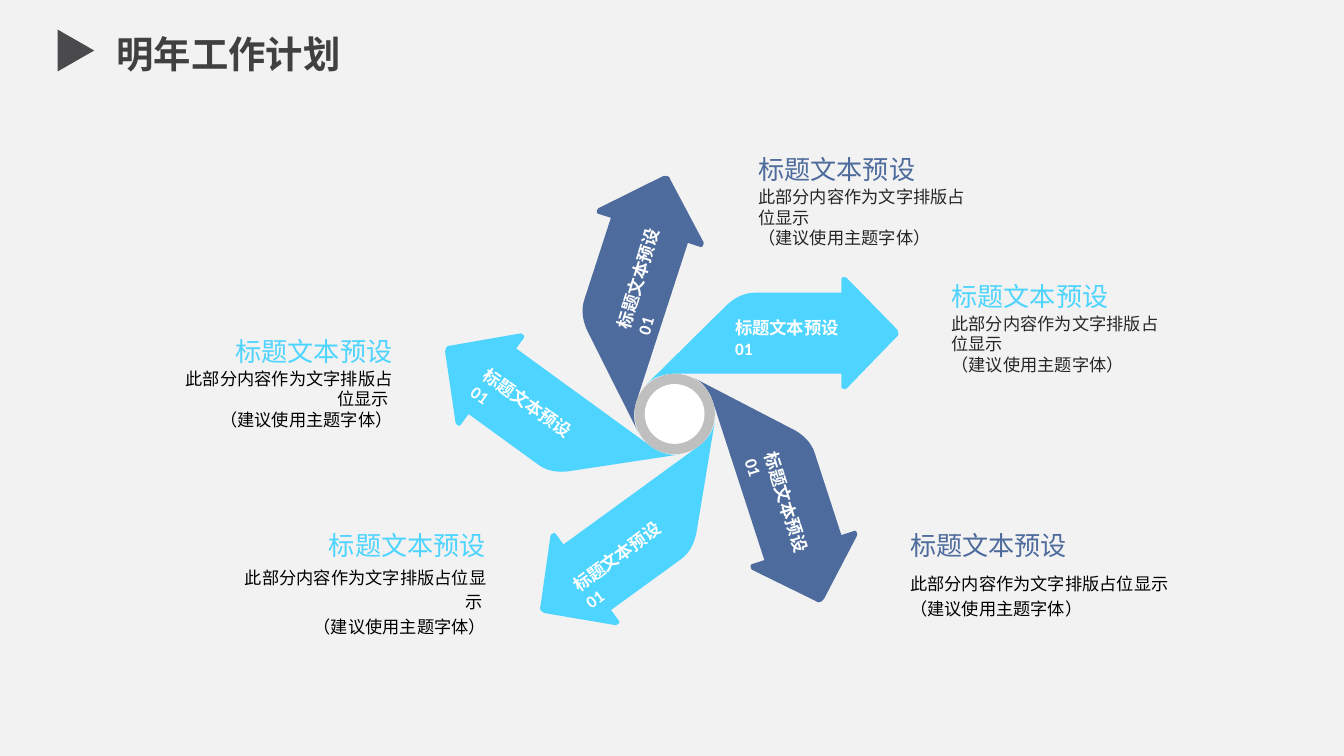
from collections import namedtuple
from dataclasses import dataclass
from math import cos, radians, sin

from pptx import Presentation
from pptx.dml.color import RGBColor
from pptx.enum.shapes import MSO_SHAPE
from pptx.enum.text import MSO_ANCHOR, PP_ALIGN
from pptx.util import Cm, Pt

Box = namedtuple("Box", "left top width height")
Blade = namedtuple("Blade", "hue x y tilt")
Note = namedtuple("Note", "box hue ink align pad space anchor")


@dataclass(frozen=True)
class Theme:
    font: str = "Calibri"
    back: str = "F2F2F2"
    mark: str = "4A4A4C"
    title: str = "404040"
    sky: str = "4DD4FF"
    navy: str = "4D6B9C"
    ring: str = "BFBFBF"
    white: str = "FFFFFF"
    dark: str = "262626"
    black: str = "000000"
    big: float = 20
    head: float = 14
    label: float = 9.3
    body: float = 9.2


THEME = Theme()
TITLE = "明年工作计划"
HEAD = "标题文本预设"
LABEL = "标题文本预设01"
BODY = "此部分内容作为文字排版占位显示 \v（建议使用主题字体）"

EDGE = [
    [(3.15, -2.29)],
    [(1.52, -2.29), (1.3, -2.29), (1.12, -2.18), (0.99, -2.06)],
    [(-0.53, -0.56), (-0.41, -0.69), (-0.2, -0.76), (0, -0.76)],
    [(3.15, -0.76)],
    [(3.15, -0.51), (3.15, -0.48), (3.2, -0.46), (3.25, -0.48)],
    [(4.19, -1.45), (4.24, -1.47), (4.24, -1.55), (4.19, -1.61)],
    [(3.25, -2.57), (3.2, -2.59), (3.15, -2.59), (3.15, -2.54)],
]

BLADES = [
    Blade(THEME.sky, 2.24, -1.66, 0),
    Blade(THEME.navy, -0.69, -2.68, 287.1),
    Blade(THEME.sky, -2.67, -0.17, 35.2),
    Blade(THEME.sky, -1.02, 2.6, 323.7),
    Blade(THEME.navy, 2.18, 1.77, 72.4),
]

LEFT, RIGHT = PP_ALIGN.LEFT, PP_ALIGN.RIGHT
TOP, MIDDLE = MSO_ANCHOR.TOP, MSO_ANCHOR.MIDDLE
NOTES = [
    Note(Box(13.34, 2.87, 5.99, 1.82), THEME.navy, THEME.dark, LEFT, (0.99, 0.99), None, TOP),
    Note(Box(2.34, 6.3, 6.07, 1.82), THEME.sky, THEME.black, RIGHT, (0.99, 0.99), None, TOP),
    Note(Box(16.99, 5.26, 5.99, 1.82), THEME.sky, THEME.dark, LEFT, (0.99, 0.99), None, TOP),
    Note(Box(4.11, 9.98, 6.07, 1.82), THEME.sky, THEME.black, RIGHT, (0.2, 0.99), 1.2, TOP),
    Note(Box(16.21, 9.98, 6.07, 1.82), THEME.navy, THEME.black, LEFT, (0.99, 0), 1.2, MIDDLE),
]


def place(box):
    return [Cm(v) for v in box]


def paint(shape, hue):
    shape.fill.solid()
    shape.fill.fore_color.rgb = RGBColor.from_string(hue)
    shape.line.fill.background()
    shape.shadow.inherit = False


def style(line, size, hue, bold=False):
    line.font.name = THEME.font
    line.font.size = Pt(size)
    line.font.bold = bold
    line.font.color.rgb = RGBColor.from_string(hue)


def inset(frame, left, right):
    frame.margin_left, frame.margin_right = Cm(left), Cm(right)
    frame.margin_top = frame.margin_bottom = 0


def trace(part):
    if len(part) == 1:
        return part
    (ax, ay), (bx, by), (cx, cy), (dx, dy) = part
    points = []
    for step in range(9):
        t = step / 8
        s = 1 - t
        w = s**3, 3 * s * s * t, 3 * s * t * t, t**3
        points.append((
            w[0] * ax + w[1] * bx + w[2] * cx + w[3] * dx,
            w[0] * ay + w[1] * by + w[2] * cy + w[3] * dy,
        ))
    return points


def add_disc(shapes, x, y, size, hue):
    box = Box(x - size / 2, y - size / 2, size, size)
    paint(shapes.add_shape(MSO_SHAPE.OVAL, *place(box)), hue)


def add_blade(shapes, x, y, turn, hue):
    c, s = cos(radians(turn)), sin(radians(turn))
    points = [
        (Cm(x + px * c - py * s), Cm(y + px * s + py * c))
        for part in EDGE for px, py in trace(part)
    ]
    pen = shapes.build_freeform(*points[0])
    pen.add_line_segments(points[1:], close=True)
    paint(pen.convert_to_shape(), hue)


def add_label(shapes, x, y, tilt):
    wide, high = 2.69, 0.58
    text = shapes.add_textbox(*place(Box(x - wide / 2, y - high / 2, wide, high)))
    text.rotation = tilt
    text.text_frame.word_wrap = False
    line = text.text_frame.paragraphs[0]
    line.text = LABEL
    style(line, THEME.label, THEME.white, True)


def add_wheel(slide, box):
    x = box.left + box.width * 0.506
    y = box.top + box.height * 0.533
    shapes = slide.shapes.add_group_shape().shapes
    for rank, blade in enumerate(BLADES):
        add_blade(shapes, x, y, -rank * 360 / len(BLADES), blade.hue)
    add_disc(shapes, x, y, 1.52, THEME.ring)
    add_disc(shapes, x, y, 1.13, THEME.white)
    for blade in BLADES:
        add_label(shapes, x + blade.x, y + blade.y, blade.tilt)


def add_note(slide, note):
    box, split = note.box, 0.65
    shapes = slide.shapes.add_group_shape().shapes
    rows = [
        (HEAD, THEME.head, note.hue, 0, split, False, MIDDLE, None),
        (BODY, THEME.body, note.ink, split, box.height - split, True, note.anchor, note.space),
    ]
    for words, size, hue, drop, high, wrap, anchor, space in rows:
        spot = Box(box.left, box.top + drop, box.width, high)
        frame = shapes.add_textbox(*place(spot)).text_frame
        frame.word_wrap = wrap
        frame.vertical_anchor = anchor
        inset(frame, *note.pad)
        line = frame.paragraphs[0]
        line.text = words
        line.alignment = note.align
        line.line_spacing = space
        style(line, size, hue)


def add_title(slide, box):
    mark = Box(box.left + 0.3, box.top + 0.2, 0.79, 0.69)
    arrow = slide.shapes.add_shape(MSO_SHAPE.ISOSCELES_TRIANGLE, *place(mark))
    arrow.rotation = 90
    paint(arrow, THEME.mark)
    title = slide.shapes.title
    title.left, title.top, title.width, title.height = place(box)
    frame = title.text_frame
    frame.word_wrap = False
    frame.vertical_anchor = MIDDLE
    inset(frame, 0, 0)
    line = frame.paragraphs[0]
    line.text = TITLE
    line.alignment = PP_ALIGN.CENTER
    style(line, THEME.big, THEME.title, True)


def main():
    deck = Presentation()
    deck.slide_width, deck.slide_height = Cm(25.4), Cm(14.28)
    slide = deck.slides.add_slide(deck.slide_layouts.get_by_name("Title Only"))
    slide.background.fill.solid()
    slide.background.fill.fore_color.rgb = RGBColor.from_string(THEME.back)
    add_title(slide, Box(0.74, 0.41, 7.16, 1.19))
    add_wheel(slide, Box(8.41, 3.3, 8.58, 8.48))
    for note in NOTES:
        add_note(slide, note)
    deck.save("out.pptx")


if __name__ == "__main__":
    main()
